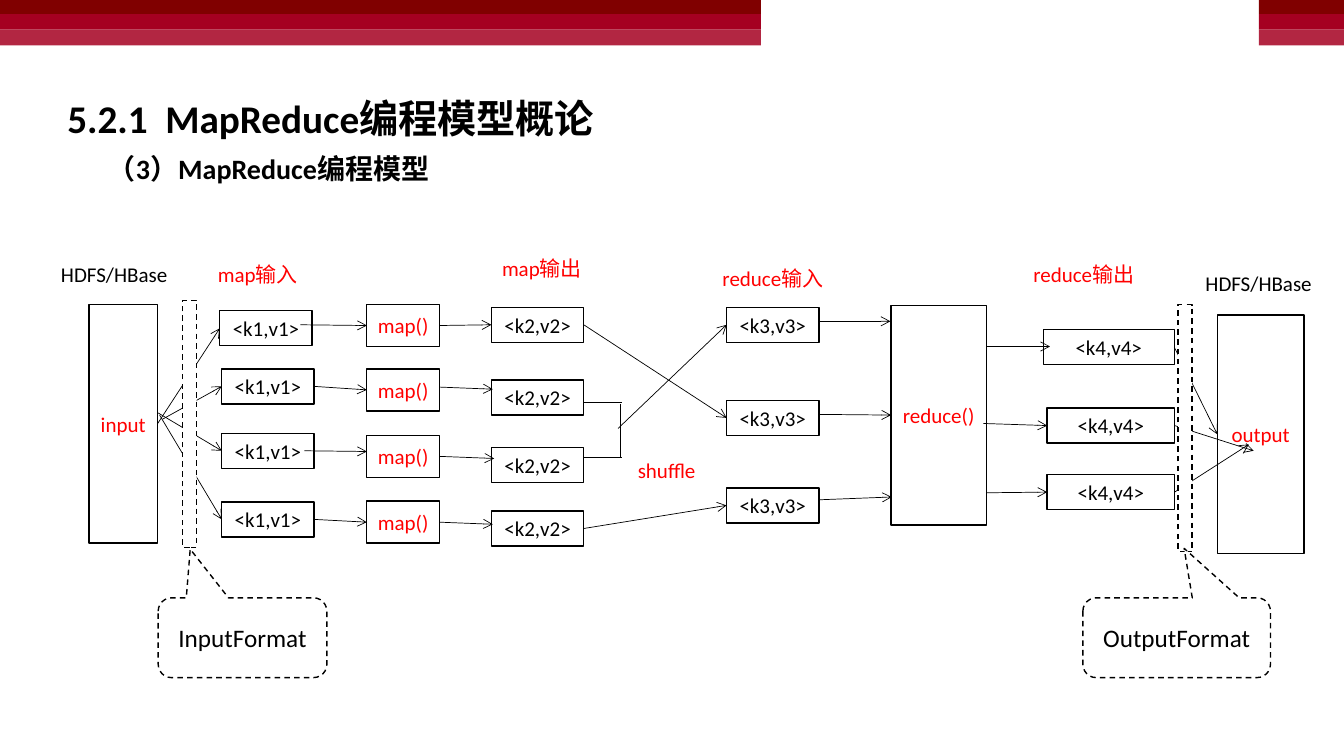
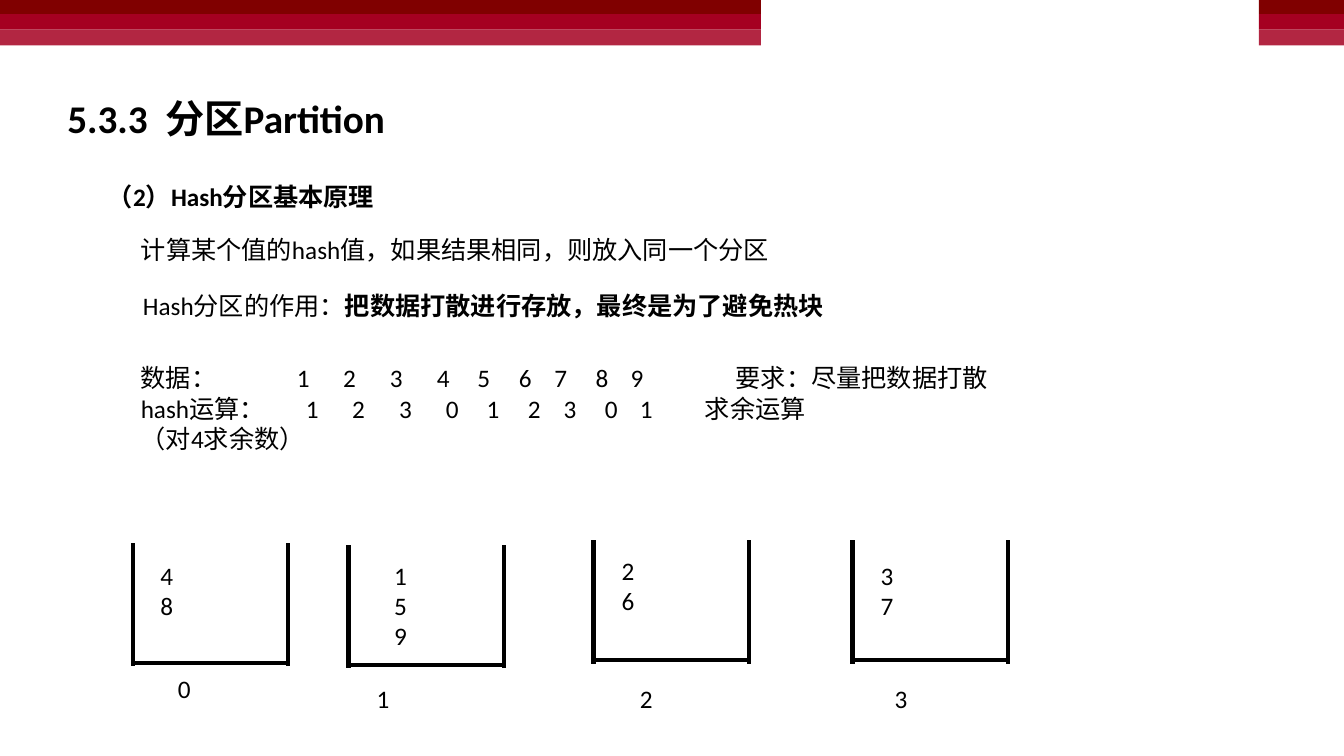
from lxml import etree
from pptx import Presentation
from pptx.dml.color import RGBColor
from pptx.enum.dml import MSO_LINE
from pptx.enum.shapes import MSO_CONNECTOR, MSO_SHAPE
from pptx.enum.text import MSO_ANCHOR, PP_ALIGN
from pptx.oxml.ns import qn
from pptx.util import Pt

RECT = MSO_SHAPE.RECTANGLE
CALLOUT = MSO_SHAPE.ROUNDED_RECTANGULAR_CALLOUT
STRAIGHT = MSO_CONNECTOR.STRAIGHT
DASH = MSO_LINE.DASH
MIDDLE = MSO_ANCHOR.MIDDLE
CENTER = PP_ALIGN.CENTER
LEFT_SIDE, RIGHT_SIDE = 1, 3

FONT = "Calibri"
COLORS = {
    "black": "000000",
    "red": "FF0000",
    "white": "FFFFFF",
    "band_dark": "800000",
    "band_mid": "A50021",
    "band_light": "B22642",
}


def put(s, x, y, w, h, text="", shape=None, size=15, color="black", bold=False,
        fill=None, line="black", dash=None, tabs=()):
    """Add a text box, or a preset shape with centred text; **marks** turn bold on."""
    box = [Pt(v) for v in (x, y, w, h)]
    if shape is None:
        sp = s.shapes.add_textbox(*box)
    else:
        sp = s.shapes.add_shape(shape, *box)
        sp.shadow.inherit = False
        if fill:
            sp.fill.solid()
            sp.fill.fore_color.rgb = RGBColor.from_string(COLORS[fill])
        else:
            sp.fill.background()
        if line:
            sp.line.color.rgb = RGBColor.from_string(COLORS[line])
            sp.line.width = Pt(1)
            if dash:
                sp.line.dash_style = dash
        else:
            sp.line.fill.background()
    tf = sp.text_frame
    tf.word_wrap = True
    if shape is not None:
        tf.vertical_anchor = MIDDLE
    for i, row in enumerate(text.split("\n") if text else []):
        p = tf.add_paragraph() if i else tf.paragraphs[0]
        if shape is not None:
            p.alignment = CENTER
        if i < len(tabs):
            stops = etree.SubElement(p._p.get_or_add_pPr(), qn("a:tabLst"))
            for pos in tabs[i]:
                etree.SubElement(stops, qn("a:tab"), pos=str(int(Pt(pos))), algn="l")
        for j, part in enumerate(row.split("**")):
            if part:
                r = p.add_run()
                r.text = part
                r.font.name = FONT
                r.font.size = Pt(size)
                r.font.bold = bold or j % 2 == 1
                r.font.color.rgb = RGBColor.from_string(COLORS[color])
    return sp


def connect(s, x1, y1, x2, y2, start=None, end=None, width=0.5, arrow=True):
    """Draw a line, joined to the right side of start and the left side of end."""
    c = s.shapes.add_connector(STRAIGHT, Pt(x1), Pt(y1), Pt(x2), Pt(y2))
    if start is not None:
        c.begin_connect(start, RIGHT_SIDE)
    if end is not None:
        c.end_connect(end, LEFT_SIDE)
    c.line.color.rgb = RGBColor.from_string(COLORS["black"])
    c.line.width = Pt(width)
    if arrow:
        etree.SubElement(c.line._get_or_add_ln(), qn("a:tailEnd"), type="arrow")
    etree.SubElement(c._element.spPr, qn("a:effectLst"))


prs = Presentation()
prs.slide_width, prs.slide_height = Pt(960), Pt(540)

# Shared bands and titles
slides = []
for title in ("5.2.1  MapReduce编程模型概论", "5.3.3  分区Partition"):
    s = prs.slides.add_slide(prs.slide_layouts[6])
    for x, w in ((0, 543.5), (899.3, 60.7)):
        for y, h, shade in ((0, 10, "band_dark"), (10, 11.2, "band_mid"),
                            (21.2, 11.2, "band_light")):
            put(s, x, y, w, h, shape=RECT, fill=shade, line=None)
    put(s, 41, 64, 760, 41, title, size=28, bold=True)
    slides.append(s)
model, partition = slides

# MapReduce data flow
s = model
put(s, 70, 105, 415, 32, "（3）MapReduce编程模型", size=20, bold=True)

for x, y, w, label, color in (
    (148.5, 183.5, 85, "map输入", "red"),
    (351.5, 179, 85, "map输出", "red"),
    (509, 186, 101, "reduce输入", "red"),
    (731, 183.5, 101, "reduce输出", "red"),
    (448.5, 323.5, 65, "shuffle", "red"),
    (36.5, 183.5, 103, "HDFS/HBase", "black"),
    (854, 189.5, 92, "HDFS/HBase", "black"),
):
    put(s, x, y, w, 25, label, color=color)

# Each stage: label, colour, height, then left, top and width of its boxes
stages = {}
for label, color, h, places in (
    ("input", "red", 170.5, [(63.5, 217.5, 49)]),
    ("<k1,v1>", "black", 25, [(157, 222, 66), (158.4, 263.5, 66),
                              (158.4, 309.5, 66), (158.4, 358.5, 66)]),
    ("map()", "red", 30, [(262, y, 52) for y in (217.5, 263.5, 311, 358)]),
    ("<k2,v2>", "black", 25, [(351, y, 66) for y in (219.5, 271.5, 319.5, 365)]),
    ("<k3,v3>", "black", 25, [(519, y, 66) for y in (219.5, 286, 348.5)]),
    ("reduce()", "red", 157, [(636.5, 218, 68)]),
    ("<k4,v4>", "black", 25, [(745.2, 235.5, 93.6), (748, 291.5, 91), (748, 339, 91)]),
    ("output", "red", 170.5, [(869.5, 225, 62)]),
):
    stages[label] = [put(s, x, y, w, h, label, shape=RECT, color=color)
                     for x, y, w in places]
source, k1, maps, k2, k3, reducer, k4, output = stages.values()

for x1, y1, x2, y2, start, end in (
    (112.5, 302.5, 157, 234, source[0], k1[0]),
    (116, 299.5, 158.4, 276, None, k1[1]),
    (113, 295, 158.4, 322, None, k1[2]),
    (114, 296.5, 158.4, 371, None, k1[3]),
    (214.5, 232, 262, 232.5, None, maps[0]),
    (224.4, 276, 262, 278.5, k1[1], maps[1]),
    (217.5, 322, 262, 322.5, None, None),
    (224.4, 371, 262, 373, k1[3], maps[3]),
    (314, 232.5, 351, 232, maps[0], k2[0]),
    (314, 276.5, 352, 278, None, None),
    (314, 326, 353, 327.5, maps[2], None),
    (314, 373, 352, 374.5, maps[3], None),
    (417, 232, 519, 298.5, k2[0], k3[1]),
    (441.5, 306, 519, 232, None, k3[0]),
    (417, 377.5, 519, 361, k2[3], k3[2]),
    (585, 229.5, 636, 229.5, None, None),
    (585, 296, 636.5, 296.5, None, reducer[0]),
    (585, 357, 637, 355, None, None),
    (705, 247.5, 750, 247.5, None, None),
    (702.5, 302.5, 748, 304, None, k4[1]),
    (705, 352, 748, 351.5, None, k4[2]),
    (838.8, 248, 869.5, 310, k4[0], output[0]),
    (839, 304, 895.5, 322, k4[1], None),
    (839, 351.5, 892, 317.5, k4[2], None),
):
    connect(s, x1, y1, x2, y2, start, end)

# Bracket that joins the two middle map outputs
for x1, y1, x2, y2 in ((417, 287.5, 444, 287.5), (417, 326.5, 444, 326.5),
                       (443, 288.5, 443, 327)):
    connect(s, x1, y1, x2, y2, arrow=False)

for x, y in ((130.5, 214.5), (841.5, 217.5)):
    put(s, x, y, 10, 176.5, shape=RECT, fill="white", dash=DASH)
for x, w, label, tip in ((113, 120.5, "InputFormat", (-0.31, -1.11)),
                         (773.5, 134, "OutputFormat", (0.04, -1.12))):
    sp = put(s, x, 427, w, 57, label, shape=CALLOUT, size=18, fill="white", dash=DASH)
    sp.adjustments[0], sp.adjustments[1] = tip

# Hash partition
s = partition
put(s, 70, 126, 648, 29, "（2）Hash分区基本原理", size=18, bold=True)
put(s, 93.5, 164, 514, 29, "计算某个值的hash值，如果结果相同，则放入同一个分区", size=18)
put(s, 95, 204, 514, 29, "Hash分区的作用：**把数据打散进行存放，最终是为了避免热块**", size=18)

values = range(1, 10)
columns = [111.5, 144.5, 178, 211.5, 240.5, 270, 295.5, 325, 350]
rows = [
    ["数据：", *map(str, values), "要求：尽量把数据打散"],
    ["hash运算：", *(str(v % 4) for v in values), "求余运算"],
    ["（对4求余数）"],
]
put(s, 93.5, 255.5, 659, 73, "\n".join("\t".join(row) for row in rows), size=18,
    tabs=(columns + [425], [x + 6.5 for x in columns] + [403]))

# Bins: left, top, then left and top of the contents and of the number below
BIN_W, BIN_H, FLOOR = 111, 88, 85.5
for n, (x, y, in_x, in_y, no_x, no_y) in enumerate((
    (95, 388, 107.5, 396.5, 120, 477.5),
    (249, 389.5, 274.5, 396.5, 262, 484.5),
    (424, 386, 437, 393, 450, 484.5),
    (609, 386, 622, 396.5, 632, 484.5),
)):
    for x1, y1, x2, y2 in ((x, y, x, y + BIN_H),
                           (x + BIN_W, y, x + BIN_W, y + BIN_H),
                           (x, y + FLOOR, x + BIN_W, y + FLOOR)):
        connect(s, x1, y1, x2, y2, width=3, arrow=False)
    members = [str(v) for v in values if v % 4 == n]
    put(s, in_x, in_y, 86, 7 + 22 * len(members), "\n".join(members), size=18)
    put(s, no_x, no_y, 86, 29, str(n), size=18)

prs.save("out.pptx")
